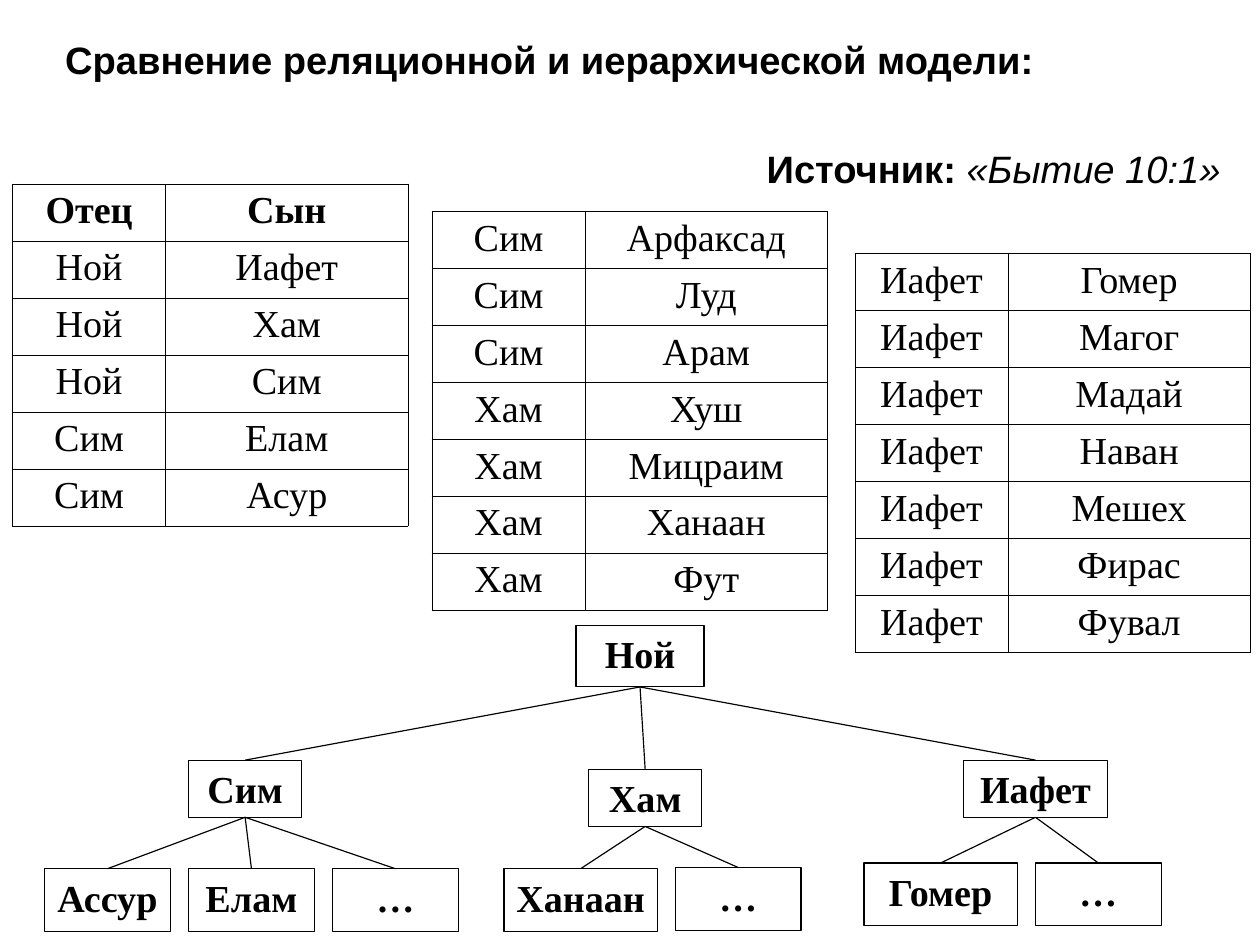
"""Build the slide that compares the relational and hierarchical models."""
import dataclasses
import pptx
import pptx.dml.color
import pptx.enum.shapes
import pptx.enum.text
import pptx.oxml
import pptx.oxml.ns
import pptx.util
from pptx.util import Inches


@dataclasses.dataclass(frozen=True)
class Theme:
    ink: pptx.dml.color.RGBColor = pptx.dml.color.RGBColor(0, 0, 0)
    paper: pptx.dml.color.RGBColor = pptx.dml.color.RGBColor(255, 255, 255)
    size: pptx.util.Pt = pptx.util.Pt(24)
    line: pptx.util.Pt = pptx.util.Pt(0.75)
    border: pptx.util.Pt = pptx.util.Pt(0.45)
    heading_font: str = "Arial"
    body_font: str = "Times New Roman"


theme = Theme()
align = pptx.enum.text.PP_ALIGN


def style(p, font, bold, alignment):
    p.alignment = alignment
    for r in p.runs:
        r.font.name = font
        r.font.size = theme.size
        r.font.bold = bold
        r.font.color.rgb = theme.ink


def set_frame(tf):
    tf.word_wrap = True
    tf.auto_size = pptx.enum.text.MSO_AUTO_SIZE.NONE
    tf.vertical_anchor = pptx.enum.text.MSO_ANCHOR.TOP
    tf.margin_left = tf.margin_right = Inches(0.1)
    tf.margin_top = tf.margin_bottom = Inches(0.05)


prs = pptx.Presentation()
prs.slide_width, prs.slide_height = pptx.util.Pt(793.75), pptx.util.Pt(595.25)
s = prs.slides.add_slide(prs.slide_layouts[5])

title = s.shapes.title
title.left, title.top, title.width, title.height = map(Inches, (0.47, 0.27, 10, 0.5))
title.text_frame.text = "Сравнение реляционной и иерархической модели:"
set_frame(title.text_frame)
style(title.text_frame.paragraphs[0], theme.heading_font, True, align.LEFT)

tables = [
    (0.11, 1.61, [("Отец", "Сын"), ("Ной", "Иафет"), ("Ной", "Хам"),
                  ("Ной", "Сим"), ("Сим", "Елам"), ("Сим", "Асур")]),
    (3.78, 1.85, [("Сим", "Арфаксад"), ("Сим", "Луд"), ("Сим", "Арам"), ("Хам", "Хуш"),
                  ("Хам", "Мицраим"), ("Хам", "Ханаан"), ("Хам", "Фут")]),
    (7.48, 2.22, [("Иафет", son) for son in
                  ("Гомер", "Магог", "Мадай", "Наван", "Мешех", "Фирас", "Фувал")]),
]
col_widths, row_height = (1.34, 2.12), 3.49 / 7
for left, top, rows in tables:
    table = s.shapes.add_table(len(rows), 2, Inches(left), Inches(top), Inches(sum(col_widths)),
                               Inches(row_height * len(rows))).table
    table.first_row = table.horz_banding = False
    for column, width in zip(table.columns, col_widths):
        column.width = Inches(width)
    for i, row in enumerate(rows):
        for j, name in enumerate(row):
            cell = table.cell(i, j)
            cell.text_frame.text = name
            style(cell.text_frame.paragraphs[0], theme.body_font, row[0] == "Отец", align.CENTER)
            tcPr = cell._tc.get_or_add_tcPr()
            for side in ("lnL", "lnR", "lnT", "lnB"):
                tcPr.append(pptx.oxml.parse_xml(
                    f'<a:{side} {pptx.oxml.ns.nsdecls("a")} w="{int(theme.border)}"><a:solidFill>'
                    f'<a:srgbClr val="{theme.ink}"/></a:solidFill></a:{side}>'))
            cell.fill.background()

nodes = [
    ("Ной", None, 5.04, 5.47, 1.12, 0.54),
    ("Сим", 0, 1.65, 6.65, 0.99, 0.5),
    ("Хам", 0, 5.15, 6.73, 0.99, 0.5),
    ("Иафет", 0, 8.43, 6.65, 1.26, 0.5),
    ("Ассур", 1, 0.39, 7.6, 1.1, 0.55),
    ("Елам", 1, 1.65, 7.6, 1.1, 0.55),
    ("…", 1, 2.91, 7.6, 1.1, 0.55),
    ("Ханаан", 2, 4.41, 7.6, 1.34, 0.55),
    ("…", 2, 5.91, 7.59, 1.1, 0.55),
    ("Гомер", 3, 7.56, 7.55, 1.34, 0.55),
    ("…", 3, 9.06, 7.55, 1.1, 0.55),
]
boxes = []
for name, parent, *place in nodes:
    sp = s.shapes.add_shape(pptx.enum.shapes.MSO_SHAPE.RECTANGLE, *map(Inches, place))
    sp.shadow.inherit = False
    if parent in (None, 0):
        sp.fill.solid()
        sp.fill.fore_color.rgb = theme.paper
    else:
        sp.fill.background()
    sp.line.color.rgb = theme.ink
    sp.line.width = theme.line
    sp.text_frame.text = name
    set_frame(sp.text_frame)
    style(sp.text_frame.paragraphs[0], theme.body_font, True, align.CENTER)
    boxes.append(sp)

for box, (name, parent, *place) in zip(boxes, nodes):
    if parent is None:
        continue
    link = s.shapes.add_connector(pptx.enum.shapes.MSO_CONNECTOR.STRAIGHT, 0, 0, 0, 0)
    link.begin_connect(boxes[parent], 2)
    link.end_connect(box, 0)
    link.line.color.rgb = theme.ink
    link.line.width = theme.line
    link._element.spPr.append(pptx.oxml.parse_xml(f'<a:effectLst {pptx.oxml.ns.nsdecls("a")}/>'))

source = s.shapes.add_textbox(*map(Inches, (6.61, 1.22, 4.33, 0.5)))
set_frame(source.text_frame)
p = source.text_frame.paragraphs[0]
p.text = "Источник: "
quote = p.add_run()
quote.text = "«Бытие 10:1»"
style(p, theme.heading_font, True, align.LEFT)
quote.font.bold, quote.font.italic = False, True

prs.save("out.pptx")
